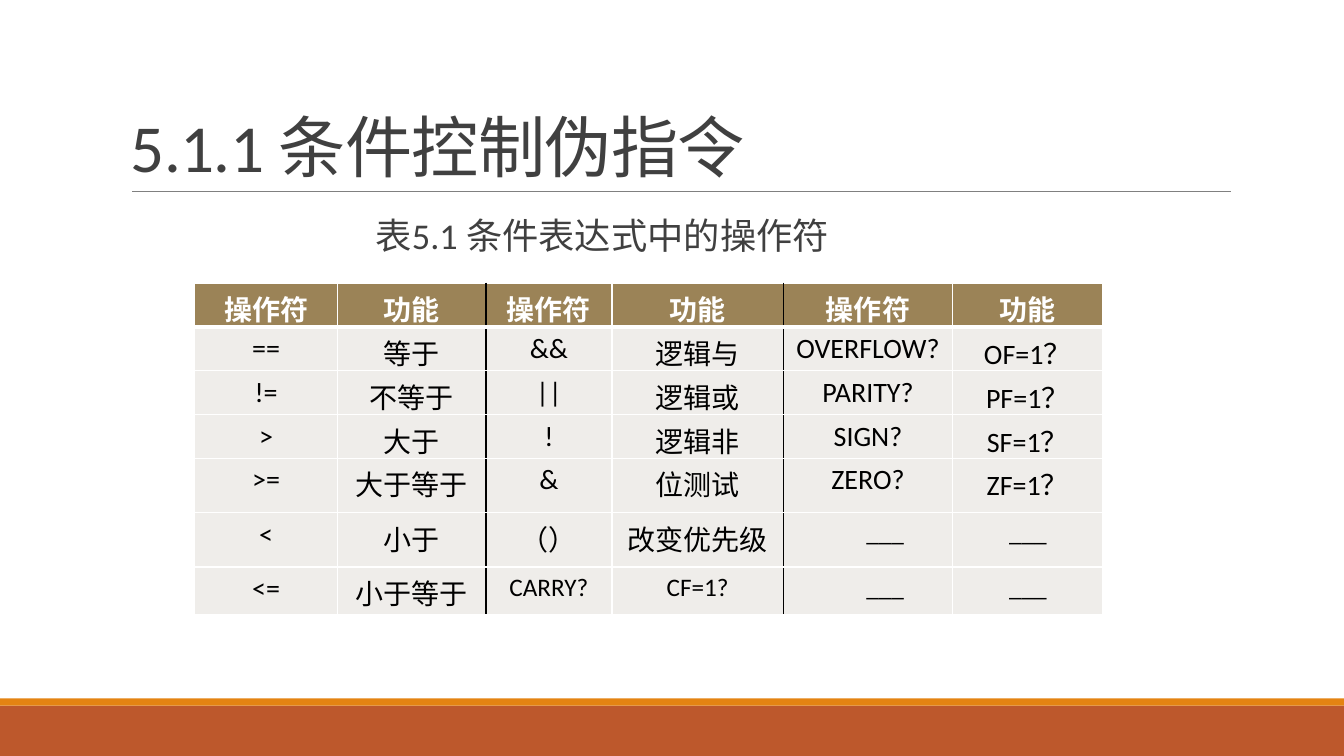
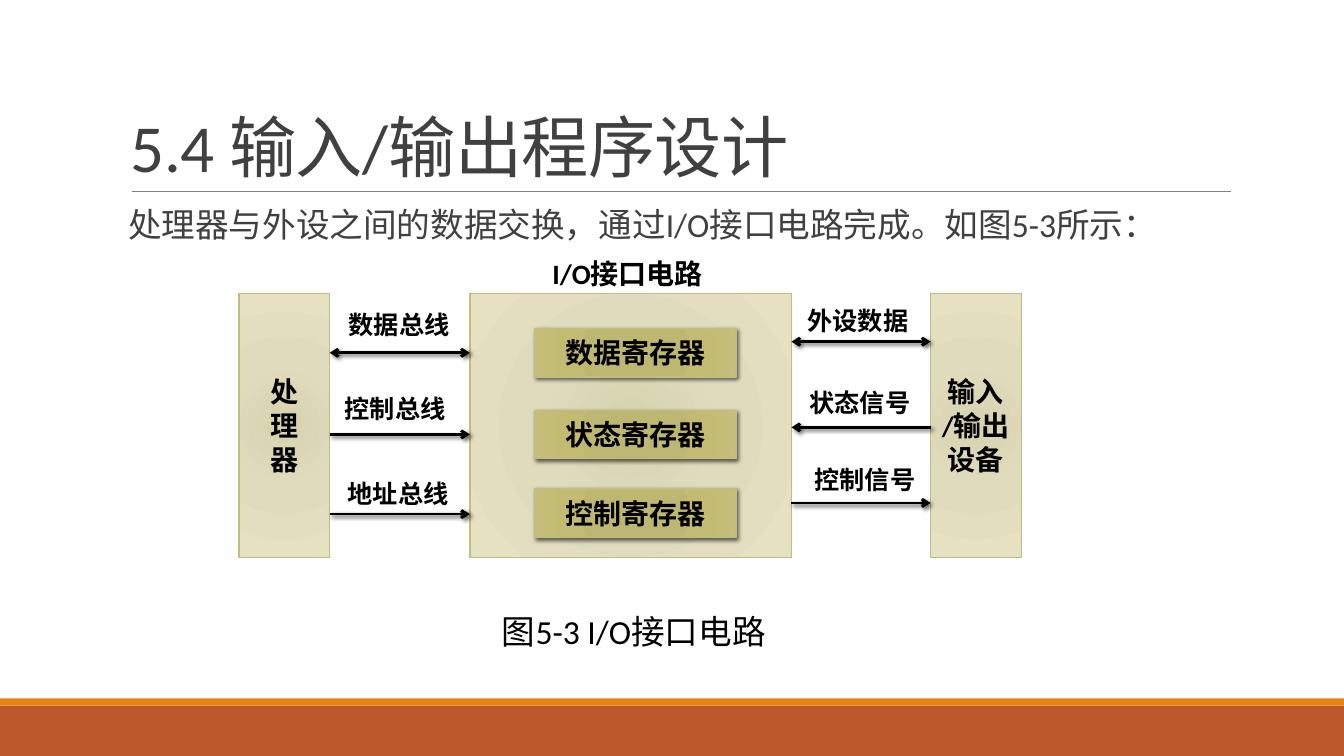
"""Build two lecture slides: a table of condition operators and an I/O interface diagram."""
from pptx import Presentation
from pptx.dml.color import RGBColor
from pptx.enum.lang import MSO_LANGUAGE_ID
from pptx.enum.shapes import MSO_CONNECTOR, MSO_SHAPE
from pptx.enum.text import MSO_ANCHOR, PP_ALIGN
from pptx.oxml import parse_xml
from pptx.oxml.ns import nsdecls, qn
from pptx.util import Pt

PX = 9144
FONT = "Calibri"
COLORS = {
    "band": "BD582C", "stripe": "E48312", "rule": "808080", "heading": "404040",
    "ink": "000000", "white": "FFFFFF", "header": "9B8357", "cell": "EFEDEA",
    "outline": "C2BC80",
}
PANEL_STOPS = [(0, "D7D3AF"), (45, "DFDBBD"), (100, "E5E1C1")]
REGISTER_STOPS = [(0, "BEB76E"), (34, "BEB771"), (70, "C3BB71"), (100, "C5BF7D")]

TABLE_TITLE = "5.1.1 条件控制伪指令"
TABLE_CAPTION = "表5.1 条件表达式中的操作符"
TABLE_LEFT, TABLE_TOP = 193, 281
COLUMN_WIDTHS = [142, 147, 125, 170, 168, 149]
ROW_HEIGHTS = [42, 40, 42, 42, 54, 54, 47]
DIVIDERS = (2, 4)
DASH = "___"
SMALL_TEXTS = (DASH, "CARRY?", "CF=1?")
OPERATORS = [
    ["操作符", "功能"] * 3,
    ["==", "等于", "&&", "逻辑与", "OVERFLOW?", "OF=1？"],
    ["!=", "不等于", "||", "逻辑或", "PARITY?", "PF=1？"],
    [">", "大于", "!", "逻辑非", "SIGN?", "SF=1？"],
    [">=", "大于等于", "&", "位测试", "ZERO?", "ZF=1？"],
    ["<", "小于", "（）", "改变优先级", DASH, DASH],
    ["<=", "小于等于", "CARRY?", "CF=1?", DASH, DASH],
]

DIAGRAM_TITLE = "5.4 输入/输出程序设计"
DIAGRAM_INTRO = "处理器与外设之间的数据交换，通过I/O接口电路完成。如图5-3所示："
PANEL_TOP, PANEL_HEIGHT = 291, 262
PANELS = [(237, 90, "处\n理\n器"), (466, 319, ""), (923, 90, "输入\n/输出设备")]
REGISTER_LEFT, REGISTER_WIDTH, REGISTER_HEIGHT = 530, 200, 48
REGISTERS = [(326, "数据寄存器"), (407, "状态寄存器"), (485, "控制寄存器")]
BUS, SIGNAL = (327, 466), (785, 923)
ARROWS = [
    (BUS, 350, True), (BUS, 431, False), (BUS, 510, False),
    (SIGNAL, 339, True), (SIGNAL[::-1], 424, False), (SIGNAL, 499, False),
]
ARROW_LABELS = [
    (336, 302, "数据总线"), (332, 385, "控制总线"), (335, 470, "地址总线"),
    (791, 298, "外设数据"), (793, 379, "状态信号"), (798, 456, "控制信号"),
]


def color(name):
    return RGBColor.from_string(COLORS[name])


def write(frame, text, size, ink="ink", bold=False, align=PP_ALIGN.LEFT):
    frame.text = text
    frame.word_wrap = True
    for para in frame.paragraphs:
        para.alignment = align
        for span in para.runs:
            font = span.font
            font.name, font.size, font.bold = FONT, Pt(size), bold
            font.color.rgb = color(ink)
            font.language_id = MSO_LANGUAGE_ID.SIMPLIFIED_CHINESE


def add_text(page, place, text, size, **style):
    box = page.shapes.add_textbox(*(value * PX for value in place))
    write(box.text_frame, text, size, **style)
    return box.text_frame


def add_body(page, place, text, size, spacing, align=PP_ALIGN.LEFT):
    frame = add_text(page, place, text, size, ink="heading", align=align)
    frame.margin_left = frame.margin_right = 0
    para = frame.paragraphs[0]
    para.line_spacing = spacing
    para.space_before, para.space_after = Pt(12), Pt(2)


def add_rectangle(page, place, fill=None):
    box = page.shapes.add_shape(MSO_SHAPE.RECTANGLE, *(value * PX for value in place))
    box.shadow.inherit = False
    box.line.fill.background()
    if fill:
        box.fill.solid()
        box.fill.fore_color.rgb = color(fill)
    return box


def add_line(page, start, end, y, ink, width):
    line = page.shapes.add_connector(
        MSO_CONNECTOR.STRAIGHT, start * PX, y * PX, end * PX, y * PX)
    line.line.color.rgb = color(ink)
    line.line.width = Pt(width)
    line.element.spPr.append(parse_xml(f"<a:effectLst {nsdecls('a')}/>"))
    return line


def add_shadow(shape):
    shape.element.spPr.find(qn("a:effectLst")).append(parse_xml(
        f'<a:outerShdw {nsdecls("a")} blurRad="{Pt(3)}" dist="{Pt(2)}" dir="2700000" '
        f'algn="tl" rotWithShape="0"><a:srgbClr val="{COLORS["ink"]}">'
        '<a:alpha val="60000"/></a:srgbClr></a:outerShdw>'))


def add_block(page, place, stops, text):
    box = add_rectangle(page, place)
    box.fill.background()
    marks = "".join(f'<a:gs pos="{stop * 1000}"><a:srgbClr val="{tint}"/></a:gs>'
                    for stop, tint in stops)
    gradient = parse_xml(
        f'<a:gradFill {nsdecls("a")} rotWithShape="1"><a:gsLst>{marks}</a:gsLst>'
        '<a:path path="circle"><a:fillToRect l="100000" t="100000" r="100000" b="100000"/>'
        '</a:path></a:gradFill>')
    properties = box.element.spPr
    properties.replace(properties.find(qn("a:noFill")), gradient)
    box.line.color.rgb = color("outline")
    box.line.width = Pt(1)
    if text:
        write(box.text_frame, text, 20, bold=True, align=PP_ALIGN.CENTER)
        box.text_frame.vertical_anchor = MSO_ANCHOR.MIDDLE
    return box


def add_arrow(page, ends, y, both_ways):
    arrow = add_line(page, *ends, y, "ink", 2)
    add_shadow(arrow)
    for end in ("headEnd", "tailEnd") if both_ways else ("tailEnd",):
        arrow.line._get_or_add_ln().append(
            parse_xml(f'<a:{end} {nsdecls("a")} type="arrow"/>'))


def add_page(deck, title):
    page = deck.slides.add_slide(deck.slide_layouts[6])
    add_rectangle(page, (0, 700, 1333, 50), "band")
    add_rectangle(page, (0, 693, 1333, 7), "stripe")
    add_line(page, 131, 1221, 190, "rule", 0.5)
    frame = add_text(page, (120, 31, 1100, 159), title, 48, ink="heading")
    frame.vertical_anchor = MSO_ANCHOR.BOTTOM
    para = frame.paragraphs[0]
    para.line_spacing = 0.85
    para.runs[0].font._element.set("spc", "-50")
    return page


def add_borders(cell, row, column):
    edges = {
        "lnL": ("ink" if column in DIVIDERS else "white", 1),
        "lnR": ("ink" if column + 1 in DIVIDERS else "white", 1),
        "lnT": ("white", 3 if row == 1 else 1),
        "lnB": ("white", 3 if row == 0 else 1),
    }
    for edge, (ink, width) in edges.items():
        cell._tc.get_or_add_tcPr().append(parse_xml(
            f'<a:{edge} {nsdecls("a")} w="{Pt(width)}"><a:solidFill>'
            f'<a:srgbClr val="{COLORS[ink]}"/></a:solidFill></a:{edge}>'))


def add_operator_table(page):
    table = page.shapes.add_table(
        len(ROW_HEIGHTS), len(COLUMN_WIDTHS), TABLE_LEFT * PX, TABLE_TOP * PX,
        sum(COLUMN_WIDTHS) * PX, sum(ROW_HEIGHTS) * PX).table
    table.horz_banding = False
    for column, width in zip(table.columns, COLUMN_WIDTHS):
        column.width = width * PX
    for row, height in zip(table.rows, ROW_HEIGHTS):
        row.height = height * PX
    for row, texts in enumerate(OPERATORS):
        header = row == 0
        for column, text in enumerate(texts):
            cell = table.cell(row, column)
            add_borders(cell, row, column)
            cell.fill.solid()
            cell.fill.fore_color.rgb = color("header" if header else "cell")
            write(cell.text_frame, text, 18 if text in SMALL_TEXTS else 20,
                  ink="white" if header else "ink", bold=header, align=PP_ALIGN.CENTER)
            if text == DASH and column == 4:
                cell.margin_left = 44 * PX


def build_table_page(deck):
    page = add_page(deck, TABLE_TITLE)
    add_body(page, (359, 215, 477, 47), TABLE_CAPTION, 25.9, 0.8, PP_ALIGN.CENTER)
    add_operator_table(page)


def build_diagram_page(deck):
    page = add_page(deck, DIAGRAM_TITLE)
    add_body(page, (127, 202, 1090, 476), DIAGRAM_INTRO, 24, 0.9)
    for left, width, text in PANELS:
        add_block(page, (left, PANEL_TOP, width, PANEL_HEIGHT), PANEL_STOPS, text)
    for top, text in REGISTERS:
        place = (REGISTER_LEFT, top, REGISTER_WIDTH, REGISTER_HEIGHT)
        add_shadow(add_block(page, place, REGISTER_STOPS, text))
    for ends, y, both_ways in ARROWS:
        add_arrow(page, ends, y, both_ways)
    add_text(page, (538, 250, 200, 44), "I/O接口电路", 20, bold=True)
    add_text(page, (488, 601, 319, 50), "图5-3 I/O接口电路", 24)
    for left, top, text in ARROW_LABELS:
        add_text(page, (left, top, 125, 40), text, 18, bold=True)


def main():
    deck = Presentation()
    deck.slide_width, deck.slide_height = 1333 * PX, 750 * PX
    build_table_page(deck)
    build_diagram_page(deck)
    deck.save("out.pptx")


if __name__ == "__main__":
    main()
